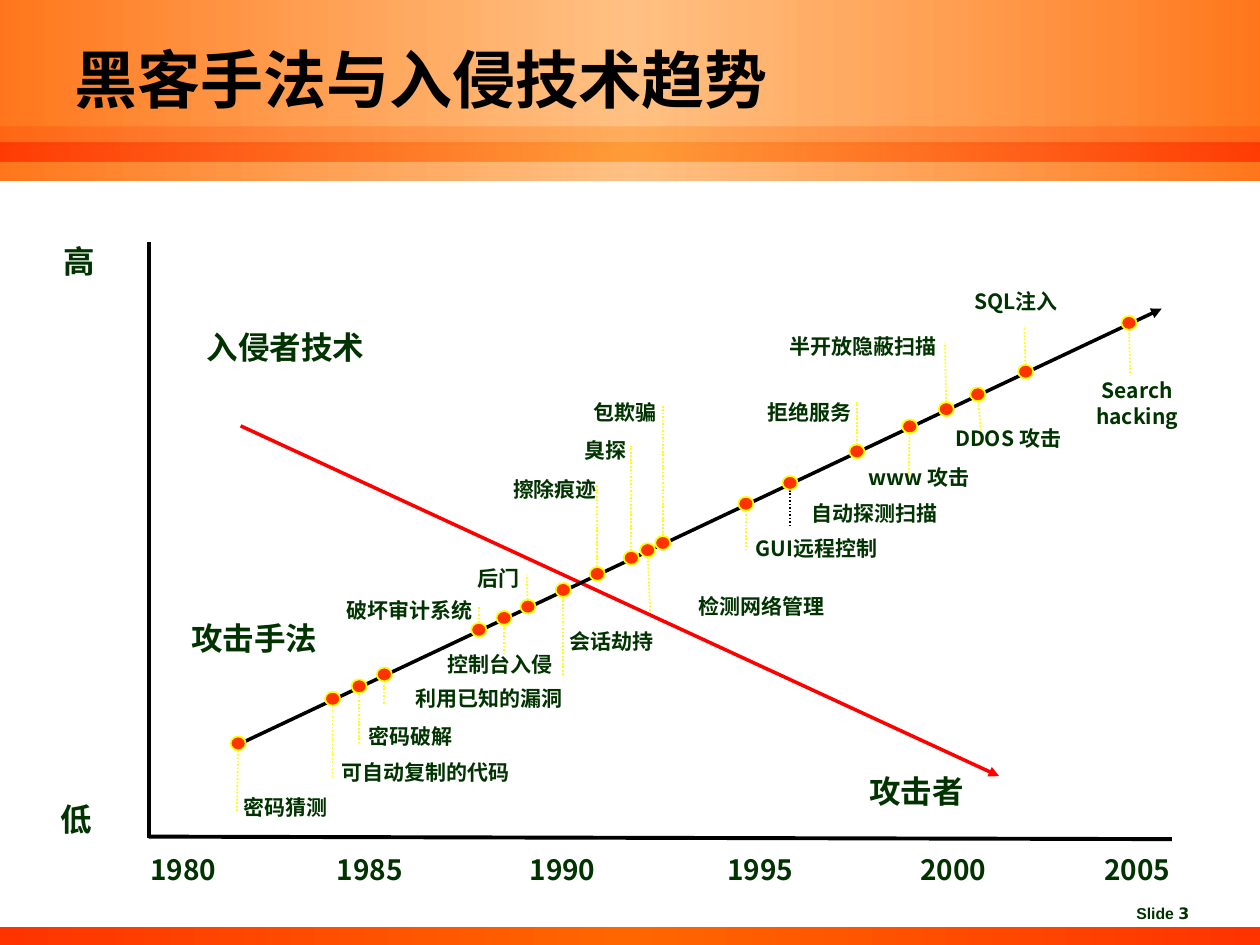
from dataclasses import dataclass

from lxml import etree
from pptx import Presentation
from pptx.dml.color import RGBColor
from pptx.enum import dml, shapes, text
from pptx.oxml import ns
from pptx.util import Inches, Pt

ALIGN = text.PP_ALIGN


@dataclass(frozen=True)
class Theme:
    ink: str = "003300"
    black: str = "000000"
    red: str = "FF0000"
    flame: str = "FF3300"
    orange: str = "FF6600"
    amber: str = "FF9933"
    yellow: str = "FFFF00"
    font: str = "Noto Sans CJK SC"
    title: int = 36
    head: int = 18
    year: int = 16
    label: int = 12
    foot: int = 9


@dataclass(frozen=True)
class Box:
    x: float
    y: float
    w: float
    h: float

    def at(self, x, y):
        return self.x + x, self.y + y


THEME = Theme()
SLOPE = 0.472
DOT_W, DOT_H = 0.12, 0.11

# text, dot x, leader tip x and y, label x and y, label width (None: fit the text)
EVENTS = [
    ("密码猜测", 1.49, 1.48, 4.55, 1.43, 4.36, None),
    ("可自动复制的代码", 2.24, 2.24, 4.27, 2.21, 4.08, None),
    ("密码破解", 2.45, 2.45, 4.0, 2.42, 3.79, None),
    ("利用已知的漏洞", 2.65, 2.65, 3.69, 2.8, 3.49, None),
    ("破坏审计系统", 3.4, 3.4, 2.91, 2.25, 2.79, None),
    ("控制台入侵", 3.6, 3.6, 3.28, 3.05, 3.22, None),
    ("后门", 3.79, 3.78, 2.66, 3.29, 2.54, None),
    ("会话劫持", 4.07, 4.07, 3.46, 4.02, 3.04, None),
    ("擦除痕迹", 4.34, 4.34, 1.95, 3.57, 1.83, None),
    ("臭探", 4.61, 4.61, 1.64, 4.14, 1.52, None),
    ("检测网络管理", 4.74, 4.76, 2.96, 5.04, 2.76, None),
    ("包欺骗", 4.86, 4.86, 1.32, 4.21, 1.22, None),
    ("GUI远程控制", 5.52, 5.52, 2.46, 5.49, 2.3, 1.17),
    ("自动探测扫描", 5.87, 5.87, 2.27, 5.94, 2.02, None),
    ("拒绝服务", 6.4, 6.4, 1.29, 5.59, 1.22, None),
    ("www 攻击", 6.82, 6.81, 1.95, 6.31, 1.74, 1.08),
    ("半开放隐蔽扫描", 7.11, 7.1, 0.82, 4.96, 0.7, 2.17),
    ("DDOS 攻击", 7.36, 7.39, 1.6, 6.85, 1.43, 1.27),
    ("SQL注入", 7.74, 7.73, 0.69, 7.18, 0.34, 0.97),
    ("Search hacking", 8.56, 8.57, 1.08, 8.14, 1.05, 0.97),
]
CENTRED = {"SQL注入", "Search hacking"}
DARK = {"自动探测扫描"}
HEADS = [("高", 0, -0.03), ("低", -0.02, 4.4), ("攻击者", 6.4, 4.18),
         ("入侵者技术", 1.14, 0.65), ("攻击手法", 1.02, 2.96)]
YEARS = [("1980", 0.69), ("1985", 2.17), ("1990", 3.7),
         ("1995", 5.27), ("2000", 6.8), ("2005", 8.26)]


def style(para, size, color=THEME.ink, align=ALIGN.CENTER):
    para.alignment = align
    font = para.font
    font.size, font.bold, font.name = Pt(size), True, THEME.font
    font.color.rgb = RGBColor.from_string(color)
    etree.SubElement(font._rPr, ns.qn("a:ea"), typeface=THEME.font)


def label(slide, words, spot, size, width=None, align=ALIGN.CENTER, wrap=False):
    """Add a text box; without a width it fits one line of full-width signs."""
    width = width or len(words) * size / 72 + 0.2
    height = size * 1.45 / 72 + 0.06
    box = slide.shapes.add_textbox(*map(Inches, (*spot, width, height)))
    frame = box.text_frame
    frame.word_wrap = wrap
    frame.text = words
    style(frame.paragraphs[0], size, align=align)
    return frame


def line(slide, start, end, color, width, arrow=False, dots=False):
    link = slide.shapes.add_connector(
        shapes.MSO_CONNECTOR.STRAIGHT, *map(Inches, (*start, *end)))
    link.line.color.rgb = RGBColor.from_string(color)
    link.line.width = Pt(width)
    if dots:
        link.line.dash_style = dml.MSO_LINE.ROUND_DOT
    if arrow:
        etree.SubElement(link.line._get_or_add_ln(), ns.qn("a:tailEnd"), type="triangle")
    etree.SubElement(link._element.spPr, ns.qn("a:effectLst"))


def band(slide, box, edge, mid, clear=(100, 100)):
    """Add a bar whose colour runs edge, mid, edge, with opacity in percent."""
    bar = slide.shapes.add_shape(
        shapes.MSO_SHAPE.RECTANGLE, *map(Inches, (box.x, box.y, box.w, box.h)))
    bar.shadow.inherit = False
    bar.line.fill.background()
    bar.fill.gradient()
    bar.fill.gradient_angle = 0
    stops = bar._element.spPr.find(".//" + ns.qn("a:gsLst"))
    for stop in list(stops):
        stops.remove(stop)
    for pos, color, part in ((0, edge, clear[0]), (50, mid, clear[1]), (100, edge, clear[0])):
        stop = etree.SubElement(stops, ns.qn("a:gs"), pos=str(pos * 1000))
        tint = etree.SubElement(stop, ns.qn("a:srgbClr"), val=color)
        etree.SubElement(tint, ns.qn("a:alpha"), val=str(part * 1000))


def header(slide, box):
    band(slide, box, THEME.orange, THEME.amber, (89, 60))
    band(slide, Box(*box.at(0, 1.13), box.w, 0.15), THEME.flame, THEME.amber, (85, 90))
    band(slide, Box(*box.at(0, 1.01), box.w, 0.14), THEME.flame, THEME.amber, (22, 47))
    title = slide.shapes.title
    title.left, title.top, title.width, title.height = map(
        Inches, (*box.at(0.49, 0), 9, 1.25))
    frame = title.text_frame
    frame.text = "黑客手法与入侵技术趋势"
    frame.vertical_anchor = text.MSO_ANCHOR.MIDDLE
    frame.auto_size = text.MSO_AUTO_SIZE.NONE
    style(frame.paragraphs[0], THEME.title, THEME.black, ALIGN.LEFT)
    slide.shapes._spTree.append(title._element)  # in front of the bands


def footer(slide, box):
    band(slide, Box(*box.at(0, 0.24), box.w, 0.14), THEME.flame, THEME.orange)
    frame = label(slide, "Slide ", box.at(8.92, 0), THEME.foot, 1.08, ALIGN.LEFT, True)
    para = frame.paragraphs[0]
    para.runs[0].font.name = "Arial"
    page = para.add_run()
    page.text = "3"
    page.font.name = "DejaVu Sans"


def event(slide, box, words, x, tip_x, tip_y, left, top, width):
    y = 4.0 - SLOPE * (x - 1.49)
    line(slide, box.at(x, y), box.at(tip_x, tip_y),
         THEME.black if words in DARK else THEME.yellow, 1, dots=True)
    dot = slide.shapes.add_shape(
        shapes.MSO_SHAPE.OVAL,
        *map(Inches, (*box.at(x - DOT_W / 2, y - DOT_H / 2), DOT_W, DOT_H)))
    dot.shadow.inherit = False
    dot.fill.solid()
    dot.fill.fore_color.rgb = RGBColor.from_string(THEME.flame)
    dot.line.color.rgb = RGBColor.from_string(THEME.yellow)
    dot.line.width = Pt(1)
    align = ALIGN.CENTER if words in CENTRED else ALIGN.RIGHT
    label(slide, words, box.at(left, top), THEME.label, width, align, width is not None)


def trend(slide, box):
    """Draw the axes, the two trend arrows and the dated events."""
    line(slide, box.at(1.51, 1.48), box.at(7.53, 4.26), THEME.red, 2, arrow=True)
    line(slide, box.at(0.78, 0.02), box.at(0.78, 4.75), THEME.black, 2.25)
    line(slide, box.at(0.78, 4.74), box.at(8.9, 4.76), THEME.black, 2.25)
    line(slide, box.at(1.49, 4.01), box.at(8.82, 0.55), THEME.black, 2, arrow=True)
    for words, x, y in HEADS:
        label(slide, words, box.at(x, y), THEME.head)
    for year, x in YEARS:
        label(slide, year, box.at(x, 4.82), THEME.year, 0.73)
    for item in EVENTS:
        event(slide, box, *item)


def main():
    deck = Presentation()
    deck.slide_width, deck.slide_height = Inches(10), Inches(7.5)
    slide = deck.slides.add_slide(deck.slide_layouts[5])
    header(slide, Box(0, 0, 10, 1.43))
    footer(slide, Box(0, 7.12, 10, 0.38))
    trend(slide, Box(0.4, 1.9, 9, 5.2))
    deck.save("out.pptx")


if __name__ == "__main__":
    main()
